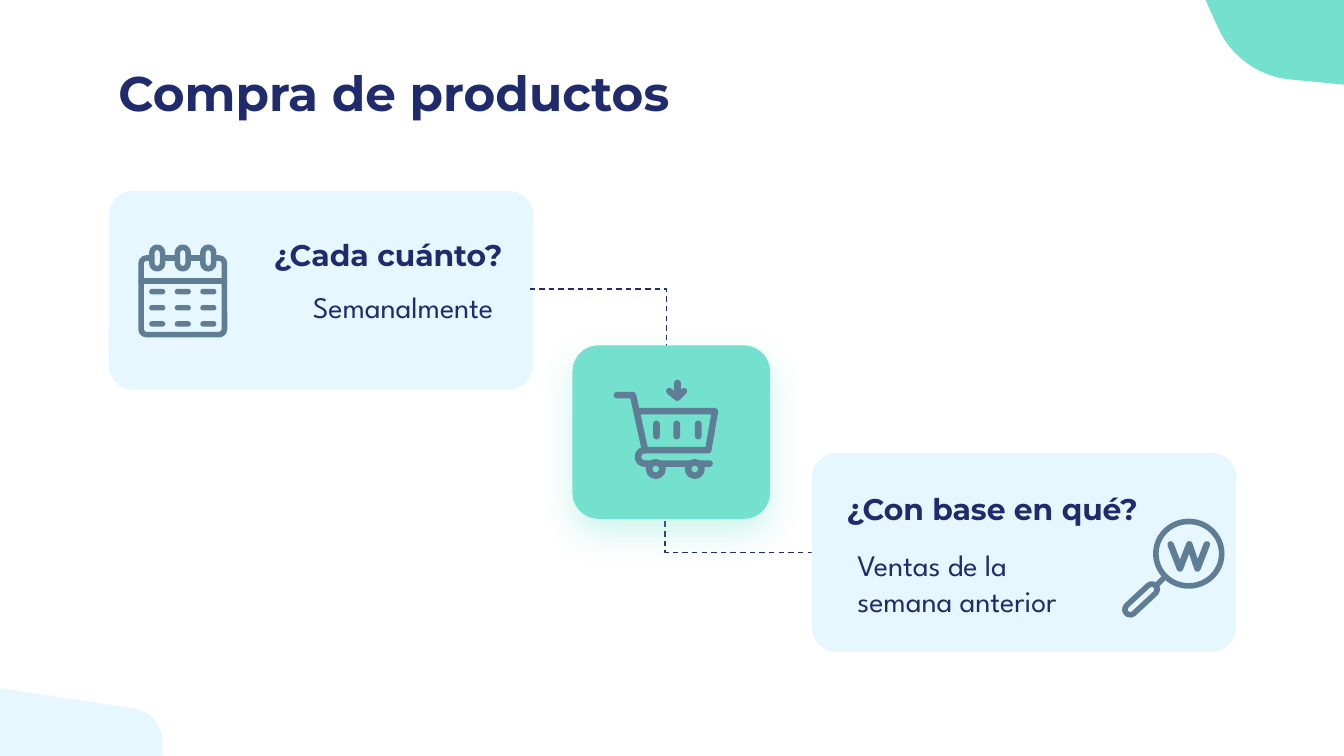
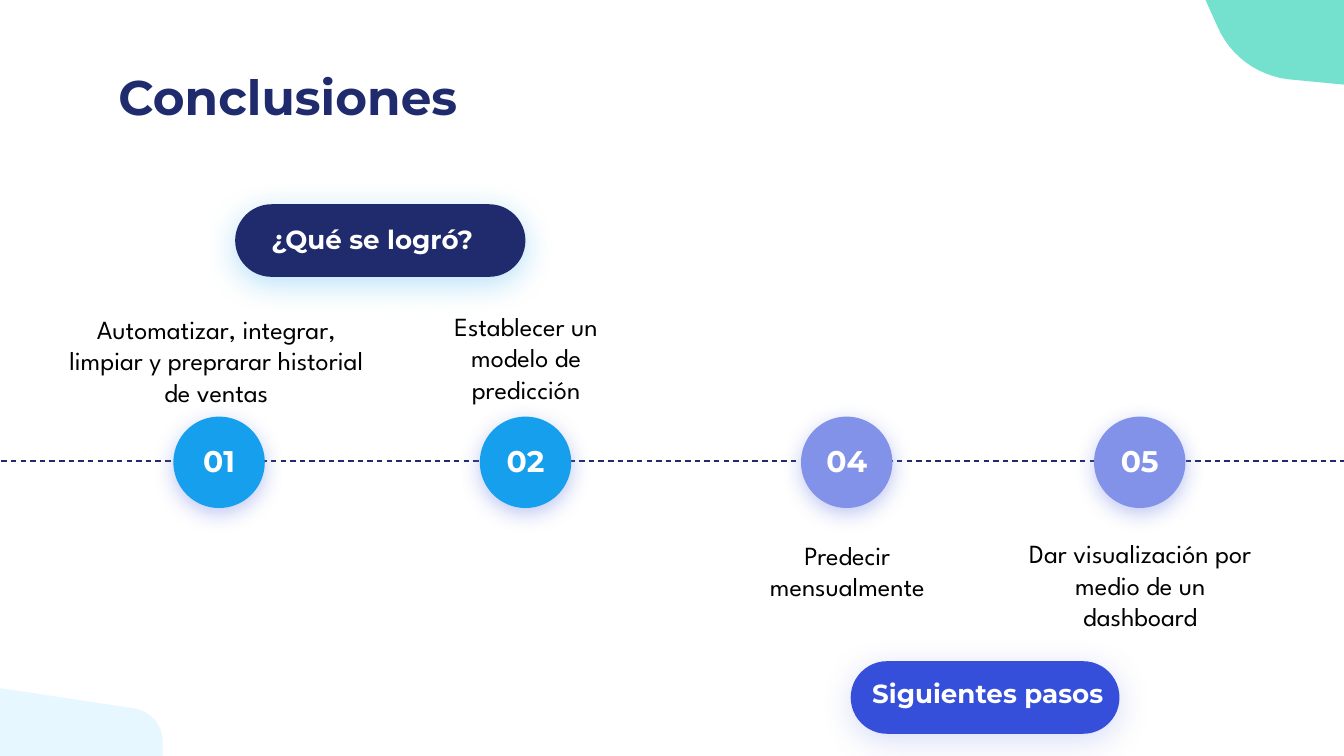
from dataclasses import dataclass

from lxml import etree
from pptx import Presentation
from pptx.dml.color import RGBColor
from pptx.enum.dml import MSO_LINE
from pptx.enum.shapes import MSO_CONNECTOR, MSO_SHAPE
from pptx.enum.text import MSO_ANCHOR, MSO_AUTO_SIZE, PP_ALIGN
from pptx.oxml.ns import qn
from pptx.shapes.autoshape import Shape
from pptx.shapes.connector import Connector
from pptx.slide import Slide, SlideLayout
from pptx.util import Inches, Pt

Point = tuple[float, float]
Box = tuple[float, float, float, float]

NAVY = RGBColor(0x1F, 0x2B, 0x6C)
MINT = RGBColor(0x73, 0xE1, 0xCD)
PALE = RGBColor(0xE7, 0xF7, 0xFF)
SLATE = RGBColor(0x5F, 0x7D, 0x95)
SKY = RGBColor(0x15, 0x9F, 0xED)
LILAC = RGBColor(0x82, 0x92, 0xE8)
ROYAL = RGBColor(0x36, 0x4F, 0xDA)
WHITE = RGBColor(0xFF, 0xFF, 0xFF)
BLACK = RGBColor(0x00, 0x00, 0x00)

LEFT, CENTER, RIGHT = PP_ALIGN.LEFT, PP_ALIGN.CENTER, PP_ALIGN.RIGHT
TOP, MIDDLE = MSO_ANCHOR.TOP, MSO_ANCHOR.MIDDLE
ROUNDED, OVAL = MSO_SHAPE.ROUNDED_RECTANGLE, MSO_SHAPE.OVAL
STRAIGHT, ELBOW = MSO_CONNECTOR.STRAIGHT, MSO_CONNECTOR.ELBOW
NO_AUTOFIT = MSO_AUTO_SIZE.NONE
DASH = MSO_LINE.DASH

SLIDE_WIDTH = Inches(10)
SLIDE_HEIGHT = SLIDE_WIDTH * 9 // 16
COMPARISON_LAYOUT = 4
THIN, THICK = 3, 3.5


@dataclass(frozen=True)
class TextStyle:
    font: str
    size: float
    color: RGBColor
    bold: bool = False
    align: PP_ALIGN = LEFT
    anchor: MSO_ANCHOR = TOP


@dataclass(frozen=True)
class Shadow:
    color: RGBColor
    opacity: int
    blur: float
    distance: float


@dataclass(frozen=True)
class Step:
    number: str
    text: str
    circle_left: float
    color: RGBColor
    text_box: Box


@dataclass(frozen=True)
class Pill:
    text: str
    box: Box
    text_box: Box
    color: RGBColor
    glow: RGBColor


TITLE = TextStyle("Montserrat", 26, NAVY, bold=True)
QUESTION = TextStyle("Montserrat", 16, NAVY, bold=True)
QUESTION_RIGHT = TextStyle("Montserrat", 16, NAVY, bold=True, align=RIGHT)
ANSWER = TextStyle("League Spartan", 16, NAVY)
ANSWER_RIGHT = TextStyle("League Spartan", 16, NAVY, align=RIGHT)
STEP_TEXT = TextStyle("League Spartan", 14, BLACK, align=CENTER)
STEP_NUMBER = TextStyle("Montserrat", 16, WHITE, bold=True, align=CENTER, anchor=MIDDLE)
PILL_TEXT = TextStyle("Montserrat", 14, WHITE, bold=True, align=CENTER)

STEPS = [
    Step("01", "Automatizar, integrar, limpiar y preprarar historial de ventas",
         1.29, SKY, (0.35, 2.23, 2.52, 0.94)),
    Step("02", "Establecer un modelo de predicción", 3.57, SKY, (2.98, 2.21, 1.87, 0.94)),
    Step("04", "Predecir mensualmente", 5.96, LILAC, (5.37, 3.91, 1.87, 0.94)),
    Step("05", "Dar visualización por medio de un dashboard",
         8.14, LILAC, (7.55, 3.9, 1.87, 0.94)),
]
PILLS = [
    Pill("¿Qué se logró?", (1.75, 1.52, 2.16, 0.54), (1.51, 1.56, 2.52, 0.94), NAVY, SKY),
    Pill("Siguientes pasos", (6.33, 4.92, 2, 0.54), (6.09, 4.94, 2.52, 0.94), ROYAL, LILAC),
]


def bezier(p0: Point, p1: Point, p2: Point, p3: Point, parts: int = 12) -> list[Point]:
    """Points along a cubic curve, both ends included."""
    curve = []
    for i in range(parts + 1):
        t = i / parts
        weights = ((1 - t) ** 3, 3 * t * (1 - t) ** 2, 3 * t * t * (1 - t), t ** 3)
        curve.append((sum(w * p[0] for w, p in zip(weights, (p0, p1, p2, p3))),
                      sum(w * p[1] for w, p in zip(weights, (p0, p1, p2, p3)))))
    return curve


def add_outline(shapes, points: list[Point], closed: bool) -> Shape:
    emu = [(Inches(x), Inches(y)) for x, y in points]
    builder = shapes.build_freeform(*emu[0])
    builder.add_line_segments(emu[1:], close=closed)
    outline = builder.convert_to_shape()
    outline.shadow.inherit = False
    return outline


def fill_plain(shape: Shape, color: RGBColor) -> None:
    shape.fill.solid()
    shape.fill.fore_color.rgb = color
    shape.line.fill.background()


def stroke(shape: Shape, weight: float) -> None:
    """Give the shape a slate line with round ends and joins."""
    shape.line.color.rgb = SLATE
    shape.line.width = Pt(weight)
    line = shape.element.spPr.find(qn("a:ln"))
    line.set("cap", "rnd")
    etree.SubElement(line, qn("a:round"))


def add_block(shapes, preset: MSO_SHAPE, box: Box, color: RGBColor,
              corner: float = 0.5, shadow: Shadow | None = None) -> Shape:
    block = shapes.add_shape(preset, *map(Inches, box))
    if preset == ROUNDED:
        block.adjustments[0] = corner
    fill_plain(block, color)
    block.shadow.inherit = False
    if shadow:
        effects = block.element.spPr.find(qn("a:effectLst"))
        outer = etree.SubElement(effects, qn("a:outerShdw"), blurRad=str(Pt(shadow.blur)),
                                 dist=str(Pt(shadow.distance)), dir="5400000",
                                 algn="bl", rotWithShape="0")
        tint = etree.SubElement(outer, qn("a:srgbClr"), val=str(shadow.color))
        etree.SubElement(tint, qn("a:alpha"), val=str(shadow.opacity * 1000))
    return block


def add_ring(shapes, preset: MSO_SHAPE, box: Box, inside: RGBColor, weight: float,
             corner: float = 0.5) -> Shape:
    ring = add_block(shapes, preset, box, inside, corner)
    stroke(ring, weight)
    return ring


def add_stroke(shapes, points: list[Point], weight: float) -> None:
    line = add_outline(shapes, points, closed=False)
    line.fill.background()
    stroke(line, weight)


def add_dashed(slide: Slide, kind: MSO_CONNECTOR, start: Point, end: Point) -> Connector:
    dashed = slide.shapes.add_connector(kind, *map(Inches, start + end))
    dashed.line.color.rgb = NAVY
    dashed.line.width = Pt(0.75)
    dashed.line.dash_style = DASH
    etree.SubElement(dashed.element.spPr, qn("a:effectLst"))
    return dashed


def write(holder: Shape, text: str, box: Box, style: TextStyle) -> None:
    """Place the text holder in front of what is drawn so far and fill it."""
    holder.element.getparent().append(holder.element)
    holder.left, holder.top, holder.width, holder.height = map(Inches, box)
    frame = holder.text_frame
    frame.text = text
    frame.word_wrap = True
    frame.auto_size = NO_AUTOFIT
    frame.vertical_anchor = style.anchor
    frame.margin_left = frame.margin_right = Inches(0.1)
    frame.margin_top = frame.margin_bottom = Inches(0.1)
    paragraph = frame.paragraphs[0]
    paragraph.alignment = style.align
    paragraph.space_before = Pt(0)
    properties = paragraph._p.get_or_add_pPr()
    properties.set("marL", "0")
    properties.set("indent", "0")
    etree.SubElement(properties, qn("a:buNone"))
    font = paragraph.font
    font.name, font.size, font.bold = style.font, Pt(style.size), style.bold
    font.color.rgb = style.color


def write_box(slide: Slide, text: str, box: Box, style: TextStyle) -> None:
    write(slide.shapes.add_textbox(*map(Inches, box)), text, box, style)


def decorate_layout(layout: SlideLayout, slide: Slide) -> None:
    """Draw the two corner blobs and move them to the layout shared by the slides."""
    bottom_left = [(0, 5.12), (0, 5.63), (1.21, 5.63),
                   *bezier((1.21, 5.52), (1.21, 5.39), (1.12, 5.29), (0.99, 5.27))]
    top_right = [(10, 0.63), (10, 0), (8.97, 0),
                 *bezier((9.06, 0.2), (9.15, 0.41), (9.35, 0.56), (9.58, 0.59))]
    layout_tree = layout.placeholders[0].element.getparent()
    for i, (points, color) in enumerate([(bottom_left, PALE), (top_right, MINT)]):
        blob = add_outline(slide.shapes, points, closed=True)
        fill_plain(blob, color)
        blob.element.nvSpPr.cNvPr.set("id", str(100 + i))
        layout_tree.insert(2 + i, blob.element)


def draw_calendar(slide: Slide) -> None:
    icon = slide.shapes.add_group_shape().shapes
    add_ring(icon, ROUNDED, (1.05, 1.92, 0.62, 0.57), PALE, THIN, corner=0.07)
    add_stroke(icon, [(1.05, 2.09), (1.67, 2.09)], THIN)
    for column in range(3):
        shift = 0.19 * column
        add_ring(icon, ROUNDED, (1.13 + shift, 1.84, 0.08, 0.16), PALE, THIN)
        for row in range(3):
            add_block(icon, ROUNDED, (1.11 + shift, 2.15 + 0.12 * row, 0.12, 0.04), SLATE)


def draw_cart(slide: Slide) -> None:
    icon = slide.shapes.add_group_shape().shapes
    add_stroke(icon, [(5.04, 2.85), (5.04, 2.95)], THICK)
    add_stroke(icon, [(4.98, 2.91), (5.04, 2.96), (5.09, 2.91)], THICK)
    add_stroke(icon, [(4.59, 2.94), (4.71, 2.94), (4.8, 3.35), (5.27, 3.35),
                      (5.32, 3.06), (4.76, 3.06)], THICK)
    add_stroke(icon, [*bezier((4.8, 3.35), (4.73, 3.35), (4.73, 3.45), (4.8, 3.45)),
                      (5.28, 3.45)], THICK)
    for wheel_left in (4.83, 5.12):
        add_ring(icon, OVAL, (wheel_left, 3.44, 0.1, 0.1), MINT, THICK)
    for bar_left in (4.86, 5.01, 5.17):
        add_block(icon, ROUNDED, (bar_left, 3.13, 0.05, 0.14), SLATE)


def draw_magnifier(slide: Slide) -> None:
    icon = slide.shapes.add_group_shape().shapes
    add_stroke(icon, [(8.68, 4.28), (8.6, 4.36)], THIN)
    handle = add_ring(icon, ROUNDED, (8.34, 4.42, 0.3, 0.08), PALE, THIN)
    handle.rotation = 317
    add_ring(icon, OVAL, (8.6, 3.88, 0.49, 0.48), PALE, THIN)
    add_stroke(icon, [(8.71, 4.05), (8.78, 4.23), (8.85, 4.05), (8.91, 4.23),
                      (8.98, 4.05)], THICK)


def build_purchase(slide: Slide) -> None:
    shapes, holders = slide.shapes, slide.placeholders
    add_block(shapes, ROUNDED, (0.81, 1.42, 3.16, 1.48), PALE, corner=0.126)
    to_basis = add_dashed(slide, ELBOW, (4.67, 3.37), (6.06, 4.11))
    guides = to_basis.element.spPr.prstGeom.get_or_add_avLst()
    etree.SubElement(guides, qn("a:gd"), name="adj1", fmla="val 20000")
    from_frequency = add_dashed(slide, ELBOW, (3.94, 2.15), (4.96, 3.55))
    from_frequency.element.spPr.prstGeom.set("prst", "bentConnector2")
    add_block(shapes, ROUNDED, (4.26, 2.57, 1.47, 1.29), MINT, corner=0.151,
              shadow=Shadow(MINT, 35, 18, 7.5))
    write(shapes.title, "Compra de productos", (0.78, 0.37, 8.44, 0.63), TITLE)
    write(holders[1], "¿Cada cuánto?", (1.54, 1.66, 2.3, 0.46), QUESTION_RIGHT)
    add_block(shapes, ROUNDED, (6.04, 3.37, 3.16, 1.48), PALE, corner=0.126)
    write(holders[3], "¿Con base en qué?", (6.2, 3.55, 2.68, 0.46), QUESTION)
    write(holders[2], "Semanalmente", (1.95, 2.05, 1.82, 0.46), ANSWER_RIGHT)
    write(holders[4], "Ventas de la semana anterior", (6.28, 3.97, 1.82, 0.46), ANSWER)
    draw_magnifier(slide)
    draw_calendar(slide)
    draw_cart(slide)


def build_conclusions(slide: Slide) -> None:
    shapes = slide.shapes
    add_dashed(slide, STRAIGHT, (0.01, 3.43), (10, 3.43))
    for idx, step in enumerate(STEPS, start=1):
        write(slide.placeholders[idx], step.text, step.text_box, STEP_TEXT)
        add_block(shapes, OVAL, (step.circle_left, 3.1, 0.68, 0.68), step.color,
                  shadow=Shadow(LILAC, 50, 11.2, 3))
        write_box(slide, step.number, (step.circle_left + 0.08, 3.27, 0.52, 0.32),
                  STEP_NUMBER)
    for pill in PILLS:
        add_block(shapes, ROUNDED, pill.box, pill.color,
                  shadow=Shadow(pill.glow, 30, 16.9, 3.8))
        write_box(slide, pill.text, pill.text_box, PILL_TEXT)
    write(shapes.title, "Conclusiones", (0.78, 0.4, 8.44, 0.63), TITLE)


def main() -> None:
    deck = Presentation()
    deck.slide_width, deck.slide_height = SLIDE_WIDTH, SLIDE_HEIGHT
    layout = deck.slide_layouts[COMPARISON_LAYOUT]
    purchase, conclusions = (deck.slides.add_slide(layout) for _ in range(2))
    decorate_layout(layout, purchase)
    build_purchase(purchase)
    build_conclusions(conclusions)
    deck.save("out.pptx")


if __name__ == "__main__":
    main()
